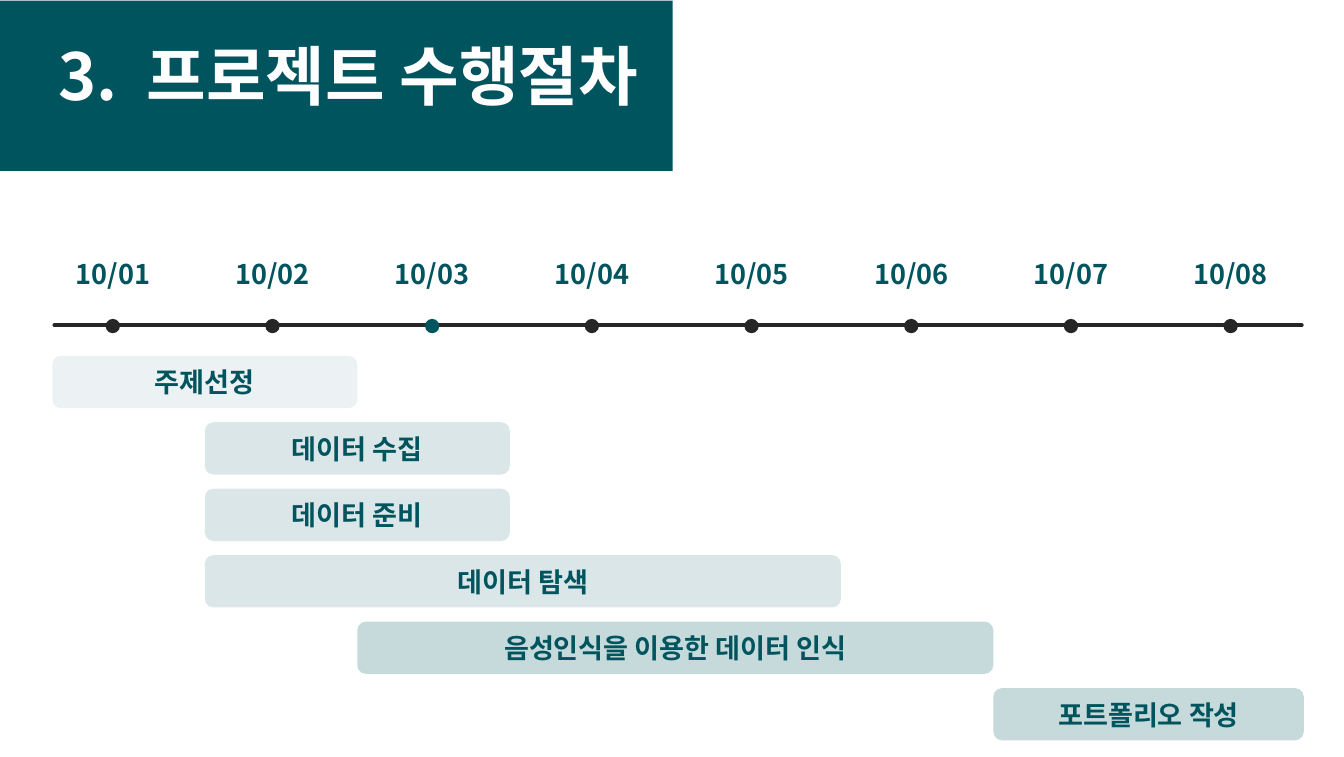
from lxml.etree import SubElement
from pptx import Presentation
from pptx.dml.color import RGBColor
from pptx.enum.shapes import MSO_CONNECTOR, MSO_SHAPE
from pptx.enum.text import MSO_ANCHOR, MSO_AUTO_SIZE, PP_ALIGN
from pptx.oxml.ns import qn
from pptx.util import Cm, Pt

TEAL = RGBColor(0x00, 0x54, 0x5E)
SAGE = RGBColor(0x46, 0x85, 0x8A)
DARK = RGBColor(0x26, 0x26, 0x26)
WHITE = RGBColor(0xFF, 0xFF, 0xFF)
FONT = "Noto Sans CJK KR"

DATES = [f"10/{day:02}" for day in range(1, 9)]
TODAY = "10/03"
STEP = 6.15
TASKS = [
    ("주제선정", 0, 12.3, 10),
    ("데이터 수집", STEP, 12.3, 20),
    ("데이터 준비", STEP, 12.3, 20),
    ("데이터 탐색", STEP, 25.65, 20),
    ("음성인식을 이용한 데이터 인식", 2 * STEP, 25.65, 30),
    ("포트폴리오 작성", 37.95, 12.52, 30),
]


def write(shape, text, size=31, color=TEAL, align=PP_ALIGN.CENTER,
          anchor=MSO_ANCHOR.MIDDLE, wrap=True, inset=0, space=1.0):
    frame = shape.text_frame
    frame.word_wrap = wrap
    frame.auto_size = MSO_AUTO_SIZE.NONE
    frame.vertical_anchor = anchor
    frame.margin_left = frame.margin_right = Cm(inset)
    frame.margin_top = frame.margin_bottom = 0
    par = frame.paragraphs[0]
    par.alignment = align
    par.line_spacing = space
    run = par.add_run()
    run.text = text
    run.font.name = FONT
    run.font.size = Pt(size)
    run.font.bold = True
    run.font.color.rgb = color
    SubElement(run._r.get_or_add_rPr(), qn("a:ea"), typeface=FONT)
    return par


def draw(slide, kind, box, color, alpha=100):
    shape = slide.shapes.add_shape(kind, *map(Cm, box))
    shape.shadow.inherit = False
    shape.line.fill.background()
    shape.fill.solid()
    shape.fill.fore_color.rgb = color
    if alpha < 100:
        tint = shape._element.spPr.find(qn("a:solidFill"))[0]
        SubElement(tint, qn("a:alpha"), val=str(alpha * 1000))
    return shape


def head(slide, box):
    x, y, wide, tall = box
    band = draw(slide, MSO_SHAPE.RECTANGLE, box, TEAL)
    title = slide.shapes.title
    title._element.addprevious(band._element)
    title.left, title.top = Cm(x), Cm(y + 1.75)
    title.width, title.height = Cm(wide), Cm(3.18)
    par = write(title, "3.\t프로젝트 수행절차", size=74, color=WHITE,
                align=PP_ALIGN.LEFT, anchor=MSO_ANCHOR.TOP, space=0.9)
    props = par._p.get_or_add_pPr()
    props.set("marL", str(Cm(5.92)))
    props.set("indent", str(Cm(-3.58)))


def axis(slide, box):
    x, y, wide, tall = box
    dot, label, pitch = 0.58, 3.05, 6.44
    mid = y + tall - dot / 2
    line = slide.shapes.add_connector(
        MSO_CONNECTOR.STRAIGHT, Cm(x + 0.08), Cm(mid - 0.03),
        Cm(x + wide - 0.08), Cm(mid - 0.03))
    line.line.color.rgb = DARK
    line.line.width = Pt(4.25)
    line.line._get_or_add_ln().set("cap", "rnd")
    SubElement(line._element.spPr, qn("a:effectLst"))
    for i, date in enumerate(DATES):
        cx = x + 2.44 + i * pitch
        color = TEAL if date == TODAY else DARK
        draw(slide, MSO_SHAPE.OVAL,
             (cx - dot / 2, mid - dot / 2, dot, dot), color)
        text = slide.shapes.add_textbox(
            Cm(cx - label / 2), Cm(y), Cm(label), Cm(1.32))
        write(text, date, anchor=MSO_ANCHOR.TOP, wrap=False, space=0.9)


def bars(slide, box):
    x, y, wide, tall = box
    high = 2.11
    pitch = (tall - high) / (len(TASKS) - 1)
    for i, (name, left, span, alpha) in enumerate(TASKS):
        bar = draw(slide, MSO_SHAPE.ROUNDED_RECTANGLE,
                   (x + left, y + i * pitch, span, high), SAGE, alpha)
        write(bar, name, inset=0.25)


def main():
    deck = Presentation()
    deck.slide_width, deck.slide_height = Cm(54.2), Cm(30.53)
    slide = deck.slides.add_slide(deck.slide_layouts[5])
    head(slide, (0, 0.03, 27.13, 6.86))
    axis(slide, (2.11, 10.54, 50.47, 2.9))
    bars(slide, (2.11, 14.35, 50.47, 15.51))
    deck.save("out.pptx")


if __name__ == "__main__":
    main()
